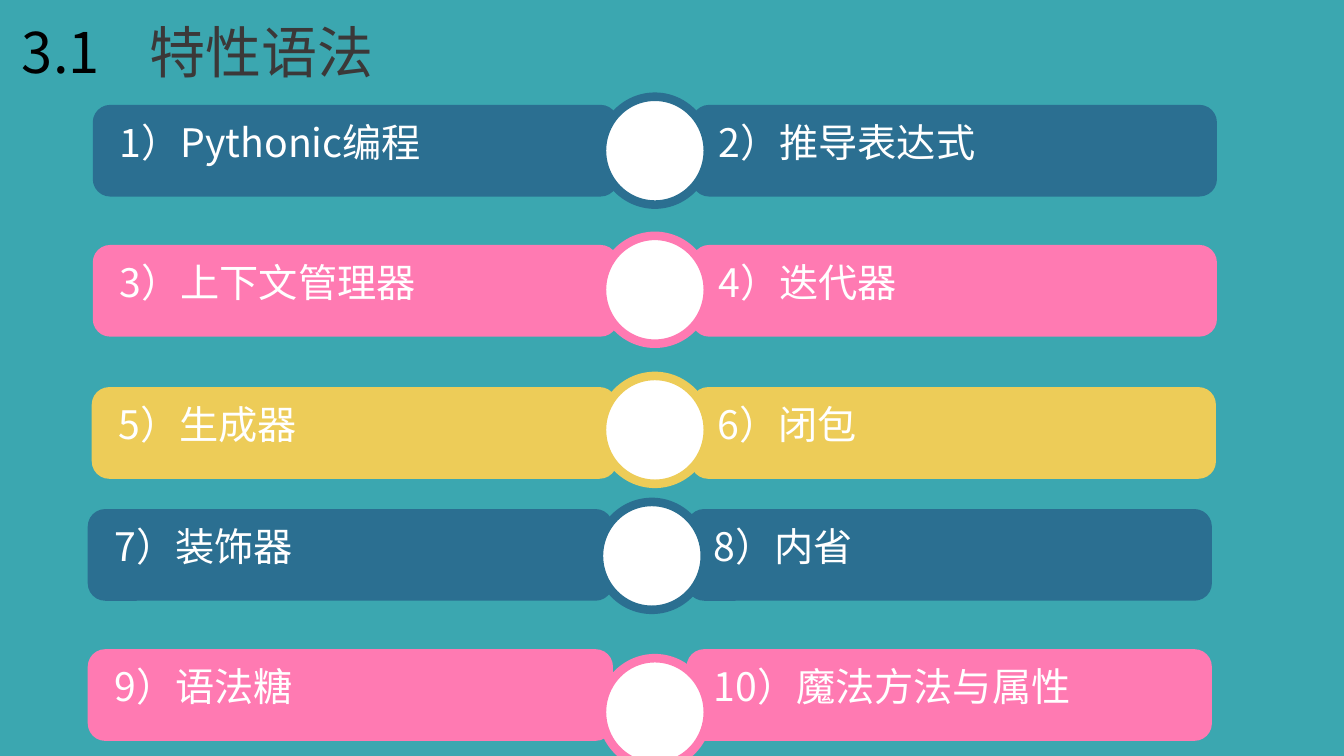
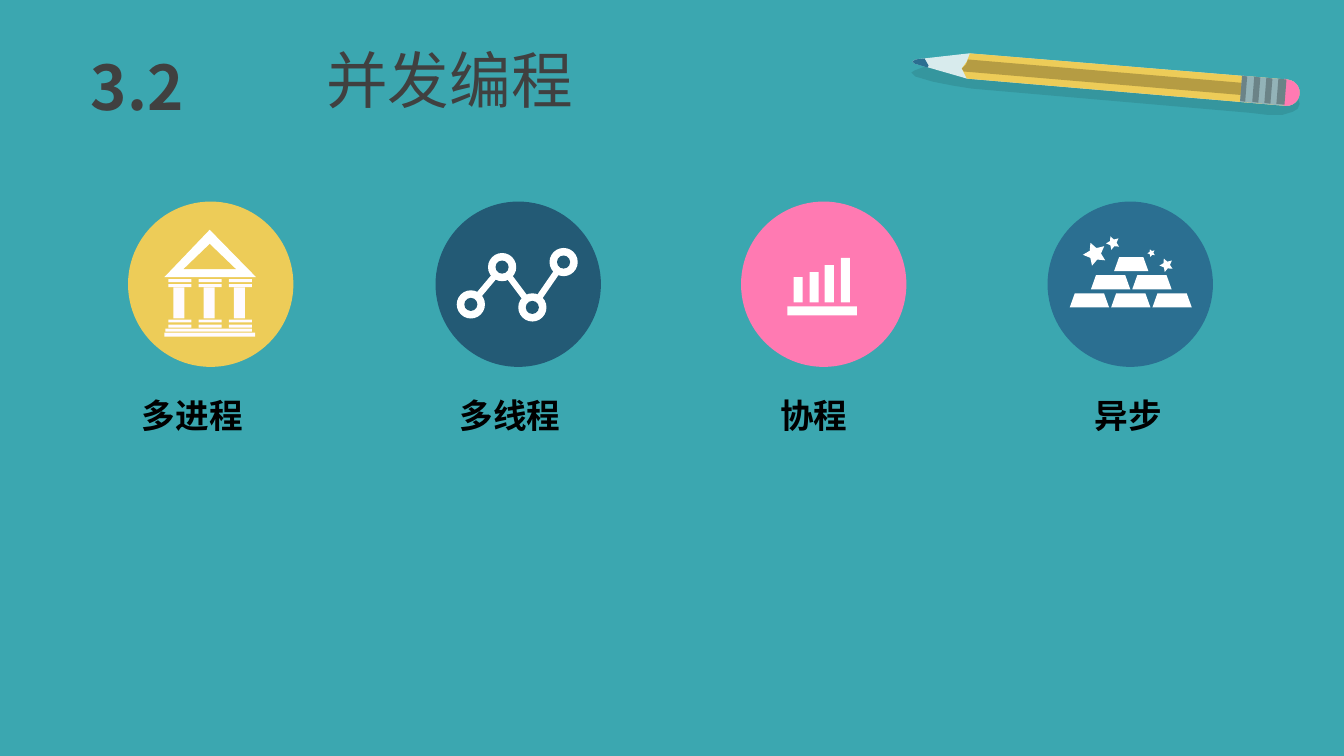
from itertools import pairwise
from math import cos, radians, sin

from lxml import etree
from pptx import Presentation
from pptx.dml.color import RGBColor
from pptx.enum.shapes import MSO_CONNECTOR, MSO_SHAPE
from pptx.enum.text import MSO_ANCHOR, MSO_AUTO_SIZE, PP_ALIGN
from pptx.oxml.ns import qn
from pptx.util import Inches, Pt

TEAL = RGBColor(0x3B, 0xA7, 0xB0)
BLUE = RGBColor(0x2B, 0x6F, 0x91)
NAVY = RGBColor(0x23, 0x5A, 0x75)
PINK = RGBColor(0xFF, 0x7A, 0xB2)
GOLD = RGBColor(0xED, 0xCC, 0x58)
OCHRE = RGBColor(0xB5, 0x9C, 0x43)
SHADE = RGBColor(0x35, 0x96, 0x9E)
WOOD = RGBColor(0xD8, 0xEB, 0xED)
METAL = RGBColor(0x93, 0xB3, 0xB8)
STEEL = RGBColor(0x6B, 0x83, 0x87)
WHITE = RGBColor(0xFF, 0xFF, 0xFF)
CREAM = RGBColor(0xFF, 0xFB, 0xFF)
BLACK = RGBColor(0, 0, 0)
DARK = RGBColor(0x3B, 0x38, 0x38)
GRAY = RGBColor(0x40, 0x40, 0x40)
SANS = "Noto Sans CJK SC"
RECT, OVAL, ROUND = MSO_SHAPE.RECTANGLE, MSO_SHAPE.OVAL, MSO_SHAPE.ROUNDED_RECTANGLE
LEFT, CENTER = PP_ALIGN.LEFT, PP_ALIGN.CENTER
TOP, GROW = MSO_ANCHOR.TOP, MSO_AUTO_SIZE.SHAPE_TO_FIT_TEXT
STRAIGHT = MSO_CONNECTOR.STRAIGHT


def draw(shapes, fill, at=None, kind=RECT, points=None, line=None):
    """Add a preset shape at a box, or an outline through points."""
    if points:
        spots = [(Inches(x), Inches(y)) for x, y in points]
        pen = shapes.build_freeform(*spots[0])
        pen.add_line_segments(spots[1:], close=True)
        shape = pen.convert_to_shape()
    else:
        shape = shapes.add_shape(kind, *map(Inches, at))
    shape.shadow.inherit = False
    shape.fill.solid()
    shape.fill.fore_color.rgb = fill
    if line:
        shape.line.color.rgb = line
        shape.line.width = Pt(6.13)
    else:
        shape.line.fill.background()
    return shape


def write(slide, words, at, size=28, color=WHITE, font=SANS, bold=False,
          align=LEFT, wrap=True, title=False):
    """Put text in the slide's title or in a new text box."""
    box = slide.shapes.title if title else slide.shapes.add_textbox(0, 0, 0, 0)
    box.left, box.top, box.width, box.height = map(Inches, at)
    frame = box.text_frame
    frame.word_wrap = wrap
    frame.auto_size = GROW
    frame.vertical_anchor = TOP
    para = frame.paragraphs[0]
    para.alignment = align
    run = para.add_run()
    run.text = words
    run.font.size = Pt(size)
    run.font.bold = bold
    run.font.name = font
    run.font.color.rgb = color
    east = etree.SubElement(run.font._element, qn("a:ea"))
    east.set("typeface", SANS)


deck = Presentation()
deck.slide_width, deck.slide_height = Inches(13.33), Inches(7.5)
back = deck.slide_master.background.fill
back.solid()
back.fore_color.rgb = TEAL
layout = deck.slide_layouts[5]

# Slide 1: language features
slide = deck.slides.add_slide(layout)
write(slide, "3.1", (0.12, 0.12, 1.66, 1.45), size=40, color=BLACK)
write(slide, "特性语法", (1.38, 0.12, 5.02, 0.77), size=40, color=DARK,
      font="League Spartan", title=True)

rows = [
    (0.92, 1.04, 5.97, 0.96, BLUE, ("Pythonic编程", "推导表达式")),
    (0.92, 2.43, 5.97, 2.34, PINK, ("上下文管理器", "迭代器")),
    (0.91, 3.84, 5.97, 3.73, GOLD, ("生成器", "闭包")),
    (0.87, 5.05, 5.94, 4.98, BLUE, ("装饰器", "内省")),
    (0.87, 6.44, 5.97, 6.53, PINK, ("语法糖", "魔法方法与属性")),
]
count = 0
for left, top, ring_x, ring_y, color, topics in rows:
    for side, topic in enumerate(topics):
        count += 1
        x = left + side * 5.94
        bar = draw(slide.shapes, color, (x, top, 5.21, 0.91), ROUND)
        bar.adjustments[0] = 0.19
        write(slide, f"{count}）{topic}", (x + 0.17, top + 0.08, 4.83, 0.57))
    draw(slide.shapes, WHITE, (ring_x, ring_y, 1.05, 1.07), OVAL, line=color)

# Slide 2: concurrency
slide = deck.slides.add_slide(layout)
write(slide, "并发编程", (2.96, 0.37, 3, 0.84), size=44, color=GRAY,
      align=CENTER, title=True)
write(slide, "3.2", (0.8, 0.44, 1.12, 0.84), size=44, color=GRAY,
      font="Noto Sans CJK JP", bold=True, align=CENTER, wrap=False)

icons = []
for left, color, label, label_x, width in [
    (1.27, GOLD, "多进程", 1.31, 1.2),
    (4.32, NAVY, "多线程", 4.46, 1.2),
    (7.35, PINK, "协程", 7.64, 0.87),
    (10.39, BLUE, "异步", 10.76, 0.87),
]:
    icon = slide.shapes.add_group_shape().shapes
    draw(icon, color, (left, 2, 1.64, 1.64), OVAL)
    icons.append(icon)
    write(slide, label, (label_x, 3.87, width, 0.5), size=24, color=BLACK,
          bold=True, wrap=False)
temple, graph, chart, stack = icons

# Temple
draw(temple, WHITE, points=[(1.63, 2.75), (2.08, 2.28), (2.54, 2.75)])
draw(temple, GOLD, points=[(1.82, 2.67), (2.08, 2.42), (2.34, 2.67)])
for col in range(3):
    x = 1.67 + col * 0.3
    for y in (2.77, 2.82, 3.17, 3.22):
        draw(temple, CREAM, (x, y, 0.23, 0.03))
    draw(temple, CREAM, (x + 0.05, 2.85, 0.11, 0.31))
draw(temple, CREAM, (1.64, 3.26, 0.86, 0.03))
draw(temple, CREAM, (1.63, 3.3, 0.9, 0.04))

# Linked nodes
nodes = [(4.67, 3.02), (4.98, 2.65), (5.28, 3.05), (5.59, 2.6)]
for start, end in pairwise(nodes):
    link = graph.add_connector(STRAIGHT, *map(Inches, start + end))
    link.line.color.rgb = WHITE
    link.line.width = Pt(4.5)
    etree.SubElement(link._element.spPr, qn("a:effectLst"))
for x, y in nodes:
    for color, size in ((WHITE, 0.28), (NAVY, 0.13)):
        draw(graph, color, (x - size / 2, y - size / 2, size, size), OVAL)

# Bar chart
draw(chart, WHITE, (7.81, 3.04, 0.69, 0.09))
for x, high in ((7.87, 0.25), (8.03, 0.3), (8.18, 0.37), (8.34, 0.44)):
    draw(chart, WHITE, (x, 3 - high, 0.09, high))

# Ingots and stars
for x, y, size in ((10.86, 2.52, 0.12), (11.57, 2.63, 0.07),
                   (11.42, 2.51, 0.04), (11.04, 2.41, 0.07)):
    star = []
    for tip in range(10):
        turn = radians(32 + tip * 36)
        reach = size / (1 + tip % 2)
        star.append((x + reach * cos(turn), y + reach * sin(turn)))
    draw(stack, WHITE, points=star)
for row, (left, wide) in enumerate([(11.05, 0.34), (10.82, 0.39), (10.61, 0.39)]):
    y = 2.55 + row * 0.18
    for col in range(row + 1):
        x = left + col * 0.41
        draw(stack, WHITE, points=[(x + 0.05, y), (x + wide - 0.05, y),
                                   (x + wide, y + 0.14), (x, y + 0.14)])

# Pencil
pencil = slide.shapes.add_group_shape().shapes
tip = [(12.76 + 0.13 * cos(radians(turn)), 0.92 + 0.13 * sin(radians(turn)))
       for turn in range(-85, 96, 15)]
point = [(9.07, 0.63), (9.05, 0.61), (9.08, 0.59)]
shadow = [(9.26, 0.64), (9.15, 0.67), (9.07, 0.7), (9.04, 0.72), (9.08, 0.76),
          (9.25, 0.81), (9.45, 0.85), (9.64, 0.88), (12.4, 1.12), (12.57, 1.14),
          (12.72, 1.14), (12.82, 1.11), (12.87, 1.08), (12.89, 1.03),
          (12.87, 0.96), (12.8, 0.91), (12.67, 0.88), (9.69, 0.59),
          (9.6, 0.58), (9.45, 0.59)]
for color, outline in [
    (SHADE, shadow),
    (WOOD, [(9.61, 0.53), *tip, (9.59, 0.78), *point]),
    (GOLD, [(9.62, 0.53), *tip, (9.59, 0.78), (9.54, 0.68), (9.59, 0.61)]),
    (OCHRE, [(9.6, 0.59), (12.88, 0.87), (12.89, 0.93), (12.87, 0.99),
             (9.56, 0.71), (9.54, 0.68), (9.58, 0.64)]),
    (METAL, [(12.32, 0.75), *tip, (12.3, 1.01)]),
    (BLUE, [*point, (9.17, 0.58), (9.21, 0.65), (9.2, 0.67)]),
    (PINK, [(12.74, 0.78), *tip, (12.72, 1.04)]),
]:
    draw(pencil, color, points=outline)
for band, wide in enumerate((0.05, 0.06, 0.06, 0.08)):
    x, y = 12.3 + band * 0.12, 0.75 + band * 0.01
    draw(pencil, STEEL, points=[(x + 0.02, y), (x + 0.02 + wide, y + 0.01),
                                (x + wide, y + 0.26), (x, y + 0.25)])

deck.save("out.pptx")
